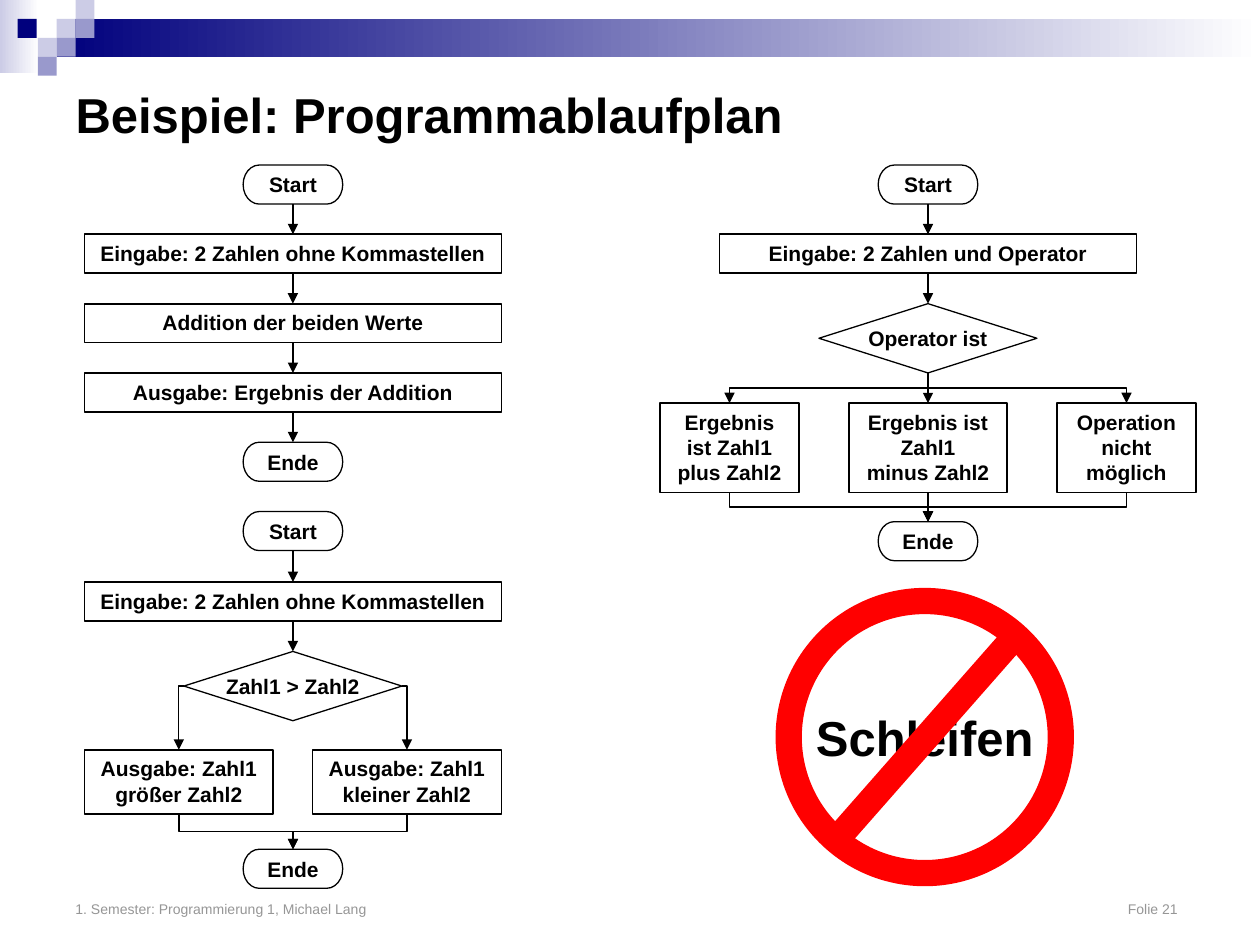
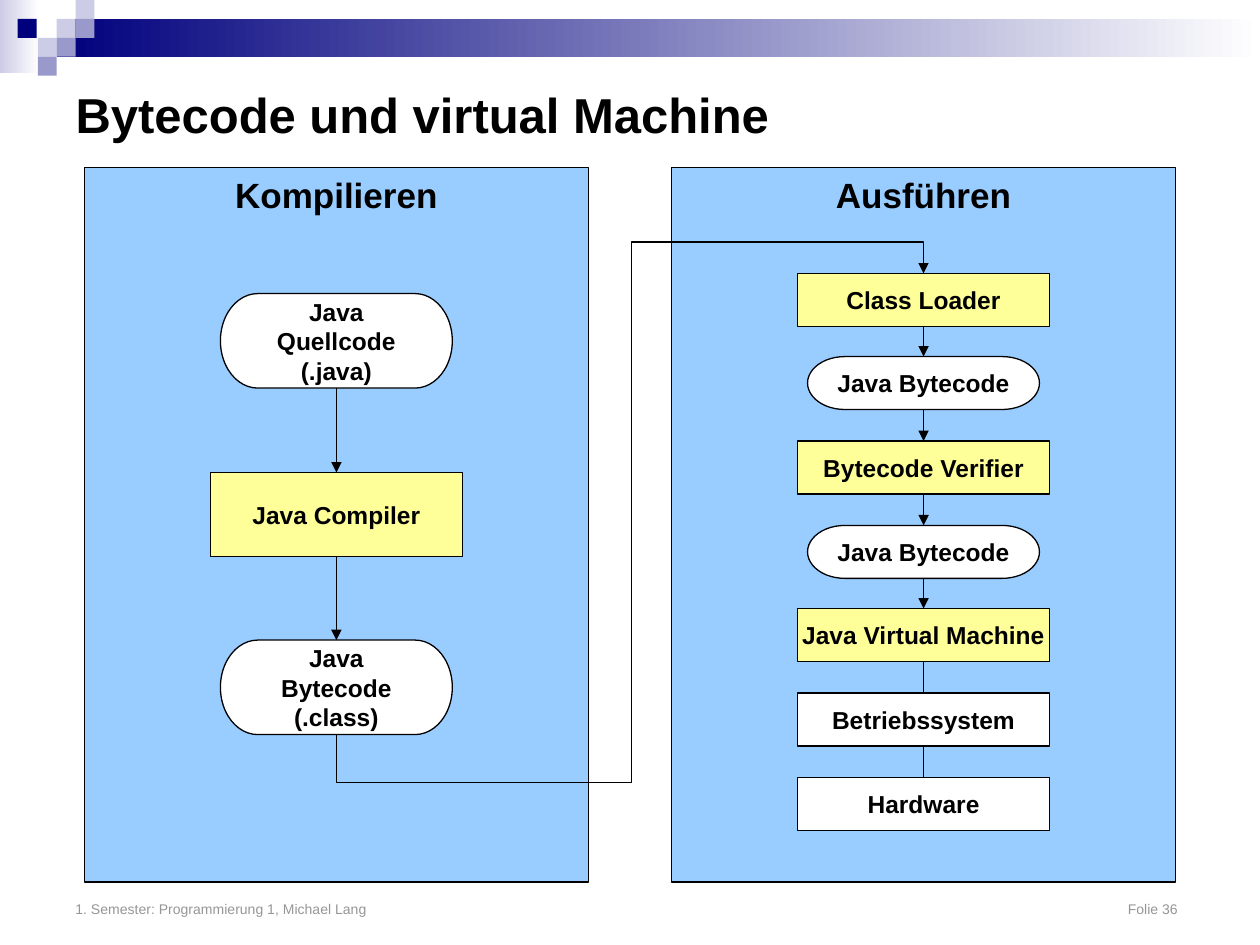
"""Build two teaching slides: flow charts, and the path from bytecode to machine."""
from dataclasses import dataclass

from lxml import etree
from pptx import Presentation
from pptx import util as u
from pptx.dml.color import RGBColor
from pptx.enum import shapes, text
from pptx.oxml.ns import qn

PX = 9144
FONT = "Arial"
HUES = {
    "black": "000000", "white": "FFFFFF", "red": "FF0000", "gray": "969696",
    "navy": "00007D", "mid": "9999CC", "pale": "CCCCE6",
    "panel": "99CCFF", "tool": "FFFF99",
}
KIND = shapes.MSO_SHAPE
RECT, PILL = KIND.RECTANGLE, KIND.FLOWCHART_TERMINATOR
RHOMB, RING = KIND.FLOWCHART_DECISION, KIND.OVAL
TOP, LEFT, BASE, RIGHT = range(4)


@dataclass
class Box:
    kind: int
    left: int
    top: int
    wide: int
    high: int
    words: str = ""
    fill: str = ""
    line: str = "black"
    width: float = 0.75
    size: int = 12
    wrap: bool = False
    high_text: bool = False


@dataclass
class Tile:
    left: int
    top: int
    wide: int
    high: int
    hue: str
    fade: bool = False


TILES = [
    Tile(0, 0, 31, 58, "pale", True),
    Tile(45, 15, 955, 30, "navy", True),
    *(Tile(x, y, 15, 15, hue) for x, y, hue in (
        (45, 15, "pale"), (60, 0, "pale"), (60, 15, "mid"), (30, 30, "pale"),
        (14, 15, "navy"), (45, 30, "mid"), (30, 45, "mid"))),
]


def rgb(name: str) -> RGBColor:
    return RGBColor.from_string(HUES[name])


def span(*sides: int) -> list[u.Emu]:
    return [u.Emu(side * PX) for side in sides]


def write(para, words: str, size: int, hue: str = "black", bold: bool = True) -> None:
    for i, part in enumerate(words.split("\v")):
        if i:
            para.add_line_break()
        run = para.add_run()
        run.text = part
        font = run.font
        font.name, font.size, font.bold = FONT, u.Pt(size), bold
        font.color.rgb = rgb(hue)


def draw(slide, box: Box):
    shape = slide.shapes.add_shape(
        box.kind, *span(box.left, box.top, box.wide, box.high))
    shape.shadow.inherit = False
    if box.fill:
        shape.fill.solid()
        shape.fill.fore_color.rgb = rgb(box.fill)
    else:
        shape.fill.background()
    if box.line:
        shape.line.color.rgb = rgb(box.line)
        shape.line.width = u.Pt(box.width)
    else:
        shape.line.fill.background()
    if box.words:
        frame = shape.text_frame
        frame.word_wrap = box.wrap
        frame.vertical_anchor = (
            text.MSO_ANCHOR.TOP if box.high_text else text.MSO_ANCHOR.MIDDLE)
        for i, words in enumerate(box.words.split("\n")):
            para = frame.add_paragraph() if i else frame.paragraphs[0]
            para.alignment = text.PP_ALIGN.CENTER
            write(para, words, box.size)
    return shape


def style(line, hue: str = "black", width: float = 0.75, head: bool = True) -> None:
    line.line.color.rgb = rgb(hue)
    line.line.width = u.Pt(width)
    props = line.element.spPr
    if head:
        etree.SubElement(props.find(qn("a:ln")), qn("a:tailEnd"), type="triangle")
    etree.SubElement(props, qn("a:effectLst"))


def join(slide, first, last, start: int = BASE, form: int = shapes.MSO_CONNECTOR.STRAIGHT):
    line = slide.shapes.add_connector(form, 0, 0, 0, 0)
    line.begin_connect(first, start)
    line.end_connect(last, TOP)
    return line


def link(slide, first, last, head: bool = True) -> None:
    style(join(slide, first, last), head=head)


def chain(slide, *steps) -> None:
    for first, last in zip(steps, steps[1:]):
        link(slide, first, last)


def shape_bend(line, bends: int, marks: tuple[int, ...] = ()) -> None:
    geom = line.element.spPr.find(qn("a:prstGeom"))
    geom.set("prst", f"bentConnector{bends}")
    guides = geom.find(qn("a:avLst"))
    for i, mark in enumerate(marks, 1):
        name = f"adj{i}" if len(marks) > 1 else "adj1"
        etree.SubElement(guides, qn("a:gd"), name=name, fmla=f"val {mark}")


def side(slide, first, last, start: int) -> None:
    line = join(slide, first, last, start, shapes.MSO_CONNECTOR.ELBOW)
    shape_bend(line, 2)
    style(line)


def bend(slide, first, last, marks: tuple[int, ...] = (50000,)) -> None:
    line = join(slide, first, last, form=shapes.MSO_CONNECTOR.ELBOW)
    x1, y1, x2, y2 = line.begin_x, line.begin_y, line.end_x, line.end_y
    wide, high = abs(y2 - y1), abs(x2 - x1)
    line.left, line.top = (x1 + x2 - wide) // 2, (y1 + y2 - high) // 2
    line.width, line.height = wide, high
    east = x2 > x1
    frame = line.element.spPr.find(qn("a:xfrm"))
    frame.set("rot", str((270 if east else 90) * 60000))
    frame.set("flipH", str(int(east == (y2 > y1))))
    frame.set("flipV", "0")
    shape_bend(line, len(marks) + 2, marks)
    style(line)


def start(prs, title: str, page: int):
    slide = prs.slides.add_slide(prs.slide_layouts[5])
    for tile in TILES:
        shape = draw(slide, Box(
            RECT, tile.left, tile.top, tile.wide, tile.high, fill=tile.hue, line=""))
        if tile.fade:
            shape.fill.gradient()
            shape.fill.gradient_angle = 0
            for stop, hue, place in zip(
                    shape.fill.gradient_stops, (tile.hue, "white"), (0, 1)):
                stop.color.rgb = rgb(hue)
                stop.position = place
    head = slide.shapes.title
    head.left, head.top, head.width, head.height = span(50, 50, 900, 81)
    frame = head.text_frame
    frame.auto_size = text.MSO_AUTO_SIZE.NONE
    frame.vertical_anchor = text.MSO_ANCHOR.MIDDLE
    frame.paragraphs[0].alignment = text.PP_ALIGN.LEFT
    write(frame.paragraphs[0], title, 28)

    foot = slide.shapes.add_textbox(*span(50, 683, 900, 50)).text_frame
    foot.word_wrap = True
    foot.vertical_anchor = text.MSO_ANCHOR.BOTTOM
    para = foot.paragraphs[0]
    tabs = etree.SubElement(para._p.get_or_add_pPr(), qn("a:tabLst"))
    etree.SubElement(tabs, qn("a:tab"), pos=str(875 * PX), algn="r")
    write(para, f"1. Semester: Programmierung 1, Michael Lang\tFolie {page}",
          8, "gray", False)
    return slide


def flows(prs) -> None:
    slide = start(prs, "Beispiel: Programmablaufplan", 21)

    def step(left: int, top: int, words: str, wide: int = 331, high: int = 31):
        return draw(slide, Box(RECT, left, top, wide, high, words,
                               width=1, wrap=True, high_text=True))

    def pill(left: int, top: int, words: str):
        return draw(slide, Box(PILL, left, top, 79, 31, words))

    def test(left: int, top: int, words: str):
        return draw(slide, Box(RHOMB, left, top, 173, 55, words))

    entry = "Eingabe: 2 Zahlen ohne Kommastellen"
    jobs = (entry, "Addition der beiden Werte", "Ausgabe: Ergebnis der Addition")
    chain(slide, pill(193, 131, "Start"),
          *(step(67, 186 + 55 * i, job) for i, job in enumerate(jobs)),
          pill(193, 351, "Ende"))

    query = test(146, 517, "Zahl1 > Zahl2")
    chain(slide, pill(193, 406, "Start"), step(67, 462, entry), query)
    end = pill(193, 674, "Ende")
    for left, word, edge in ((67, "größer", LEFT), (248, "kleiner", RIGHT)):
        case = step(left, 595, f"Ausgabe: Zahl1\v{word} Zahl2", 150, 51)
        side(slide, query, case, edge)
        bend(slide, case, end)

    query = test(650, 241, "Operator ist")
    chain(slide, pill(697, 131, "Start"),
          step(571, 186, "Eingabe: 2 Zahlen und Operator"), query)
    end = pill(697, 414, "Ende")
    plus = step(524, 320, "Ergebnis ist Zahl1\vplus Zahl2", 110, 71)
    minus = step(674, 320, "Ergebnis ist Zahl1\vminus Zahl2", 125, 71)
    fail = step(839, 320, "Operation nicht möglich", 110, 71)
    chain(slide, query, minus, end)
    for case in (plus, fail):
        bend(slide, query, case)
        bend(slide, case, end)

    draw(slide, Box(RING, 626, 477, 216, 216, "Schleifen",
                    line="red", width=15, size=28))
    bar = slide.shapes.add_connector(
        shapes.MSO_CONNECTOR.STRAIGHT, *span(658, 673, 811, 499))
    style(bar, "red", 15, False)


def machine(prs) -> None:
    slide = start(prs, "Bytecode und virtual Machine", 36)
    for left, words in ((67, "Kompilieren"), (533, "Ausführen")):
        draw(slide, Box(RECT, left, 133, 400, 567, words, "panel",
                        size=20, high_text=True))

    def data(left: int, top: int, high: int, words: str):
        return draw(slide, Box(PILL, left, top, 184, high, words, "white", size=14))

    def tool(left: int, top: int, high: int, words: str, fill: str = "tool"):
        return draw(slide, Box(RECT, left, top, 200, high, words, fill, size=14))

    code = data(175, 508, 75, "Java\nBytecode\n(.class)")
    chain(slide, data(175, 233, 75, "Java\nQuellcode\n(.java)"),
          tool(167, 375, 67, "Java Compiler"), code)

    rows = [round((650 + 200 * i) / 3) for i in range(7)]
    load = tool(633, rows[0], 42, "Class Loader")
    first = data(641, rows[1], 42, "Java Bytecode")
    check = tool(633, rows[2], 42, "Bytecode Verifier")
    last = data(641, rows[3], 42, "Java Bytecode")
    engine = tool(633, rows[4], 42, "Java Virtual Machine")
    system = tool(633, rows[5], 42, "Betriebssystem", "white")
    metal = tool(633, rows[6], 42, "Hardware", "white")
    chain(slide, load, first, check, last, engine)
    bend(slide, code, load, (-10400, 50300, 106800))
    link(slide, engine, system, False)
    link(slide, system, metal, False)


def main() -> None:
    prs = Presentation()
    prs.slide_width, prs.slide_height = span(1000, 750)
    flows(prs)
    machine(prs)
    prs.save("out.pptx")


if __name__ == "__main__":
    main()
